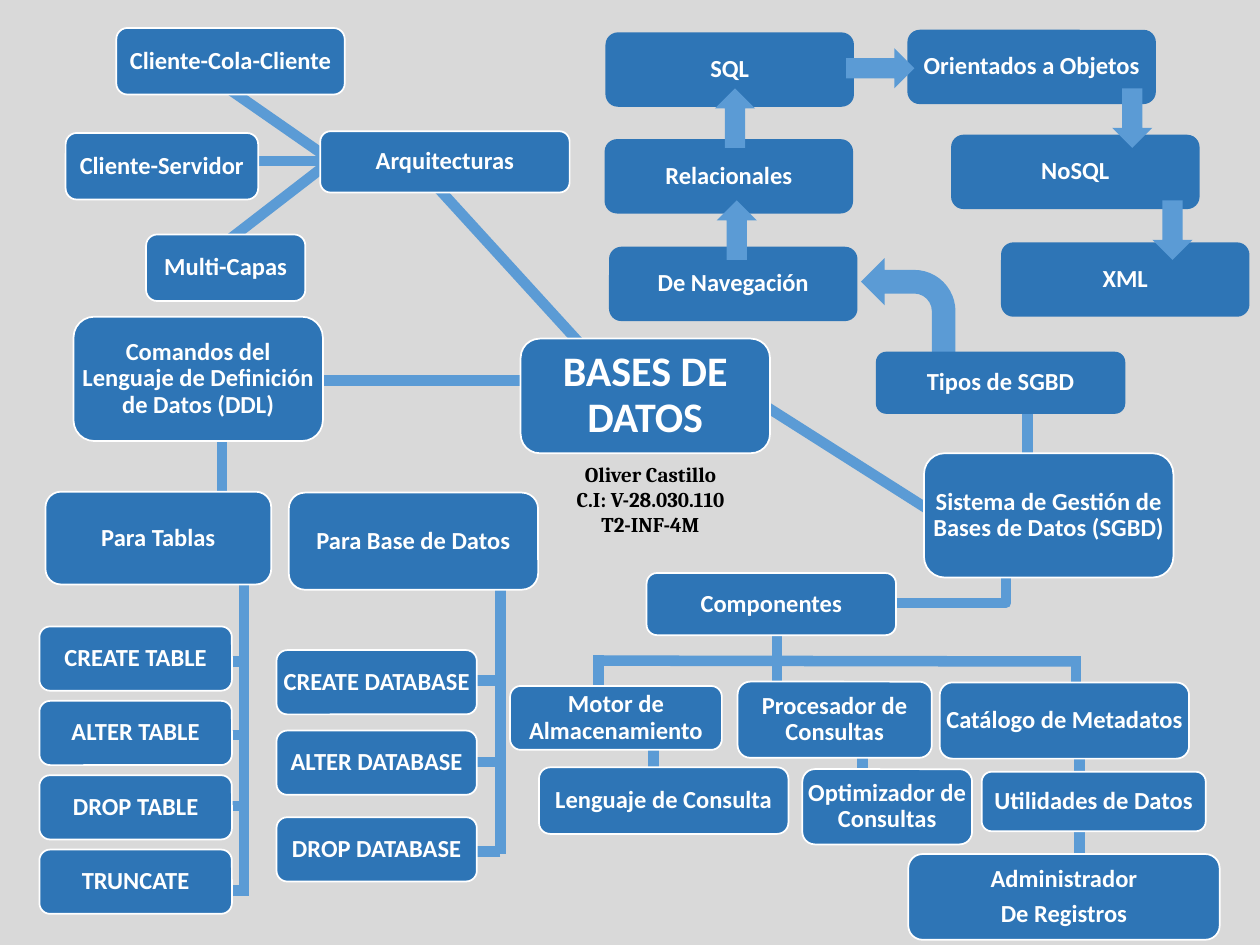
from lxml import etree
from pptx import Presentation
from pptx import util as u
from pptx.dml import color
from pptx.enum import shapes, text
from pptx.oxml import ns

Pt = u.Pt
BLUE, SKY, WHITE = "2E75B6", "5B9BD5", "FFFFFF"
WIDE = 142.5


def paint(target, value):
    target.fill.solid()
    target.fill.fore_color.rgb = color.RGBColor.from_string(value)


def write(frame, lines, font, size, value, spacing=None, after=None):
    frame.word_wrap = True
    for index, line in enumerate(lines):
        para = frame.paragraphs[0] if index == 0 else frame.add_paragraph()
        para.alignment = text.PP_ALIGN.CENTER
        para.line_spacing = spacing
        para.space_after = after
        span = para.add_run()
        span.text = line
        span.font.name, span.font.size, span.font.bold = font, Pt(size), True
        span.font.color.rgb = color.RGBColor.from_string(value)


def add_link(page, origin, start, end, kind=shapes.MSO_CONNECTOR.STRAIGHT):
    left, top = origin
    link = page.shapes.add_connector(
        kind, Pt(left + start[0]), Pt(top + start[1]),
        Pt(left + end[0]), Pt(top + end[1]))
    paint(link.line, SKY)
    link.line.width = Pt(6)
    etree.SubElement(link._element.spPr, ns.qn("a:effectLst"))


def add_figure(page, origin, kind, frame, fill):
    x, y, width, height = frame
    figure = page.shapes.add_shape(
        kind, Pt(origin[0] + x), Pt(origin[1] + y), Pt(width), Pt(height))
    figure.shadow.inherit = False
    paint(figure, fill)
    figure.line.fill.background()
    return figure


def add_node(page, origin, label, x, y, width, height, border=True, size=14):
    node = add_figure(page, origin, shapes.MSO_SHAPE.ROUNDED_RECTANGLE,
                      (x, y, width, height), BLUE)
    if border:
        paint(node.line, WHITE)
        node.line.width = Pt(1)
    frame = node.text_frame
    frame.margin_left = frame.margin_right = Pt(0.8)
    frame.margin_top = frame.margin_bottom = Pt(0.8)
    frame.vertical_anchor = text.MSO_ANCHOR.MIDDLE
    write(frame, label.split("\n"), "Calibri", size, WHITE, 0.9, Pt(size * 0.35))


def add_hub_links(page, origin):
    for start, end in [((34.5, 3.5), (-48.5, -87.5)),
                       ((22.5, 24), (-139.5, 24)),
                       ((133.5, 34.5), (248.5, 107.5))]:
        add_link(page, origin, start, end)


def add_hub(page, origin):
    add_node(page, origin, "BASES DE DATOS", 0, 0, WIDE, 65.5, size=24)
    left, top = origin
    box = page.shapes.add_textbox(Pt(left + 14.5), Pt(top + 66.5), Pt(119.5), Pt(51))
    write(box.text_frame, ["Oliver Castillo", "C.I: V-28.030.110", "T2-INF-4M"],
          "Cambria", 12, "000000")


def add_architectures(page, origin):
    for start, end in [((147, 80), (90, 124)), ((153, 76), (94, 35)),
                       ((153, 76), (90, 76))]:
        add_link(page, origin, start, end)
    for node in [("Arquitecturas", 146, 59, WIDE, 35),
                 ("Cliente-Servidor", 0.5, 60, 110, 38),
                 ("Multi-Capas", 46.5, 118, 91, 38),
                 ("Cliente-Cola-Cliente", 29.5, 0, 130.5, 38)]:
        add_node(page, origin, *node)


def add_commands(page, origin, head, trunk, width, items):
    x, top, bottom = trunk
    for _, _, branch in items:
        add_link(page, origin, (x, branch), (x - 35, branch))
    add_link(page, origin, (x, top), (x, bottom))
    add_node(page, origin, *head)
    for label, y, _ in items:
        add_node(page, origin, label, 0, y, width, 36.75)


def add_definition_language(page, origin):
    left, top = origin
    add_link(page, origin, (105, 63), (105, 103))
    add_node(page, origin, "Comandos del Lenguaje de Definición de Datos (DDL)",
             20, 0, WIDE, 71)
    tables = ["CREATE TABLE", "ALTER TABLE", "DROP TABLE", "TRUNCATE"]
    branches = [97, 139, 179.5, 228]
    add_commands(page, (left + 0.5, top + 100), ("Para Tablas", 3.5, 0, 129, 53),
                 (117, 44, 231), 110,
                 [(label, 77 + 42.5 * row, branches[row])
                  for row, label in enumerate(tables)])
    add_commands(page, (left + 136, top + 100),
                 ("Para Base de Datos", 7, 0.5, WIDE, 55.5),
                 (128, 48, 207), 114.5,
                 [("CREATE DATABASE", 90.5, 108), ("ALTER DATABASE", 136.5, 154.5),
                  ("DROP DATABASE", 186, 205.5)])


def add_system_types(page, origin):
    add_link(page, origin, (241, 200.5), (241, 253))
    curve = add_figure(page, origin, shapes.MSO_SHAPE.BENT_ARROW,
                       (146, 130.5, 54, 62), SKY)
    curve._element.spPr.xfrm.set("flipH", "1")
    add_node(page, origin, "Tipos de SGBD", 154.5, 184, WIDE, 35.5, border=False)
    for label, x, y in [("De Navegación", 2, 124), ("Relacionales", -0.5, 62.5),
                        ("SQL", 0, 1.5), ("Orientados a Objetos", 172.5, 0),
                        ("NoSQL", 197.5, 60), ("XML", 226, 121.5)]:
        add_node(page, origin, label, x, y, 142, 42.5, border=False)
    for x, y, height, turn in [(63.5, 97.5, 34, 0), (62.5, 33.5, 34, 0),
                               (145.5, 2.5, 39, 90), (289.5, 33.5, 34, 180),
                               (312.5, 97.5, 34, 180)]:
        arrow = add_figure(page, origin, shapes.MSO_SHAPE.UP_ARROW,
                           (x, y, 23, height), SKY)
        arrow.rotation = turn


def add_components(page, origin):
    for x, top, bottom in [(326, 208, 237), (326, 161.5, 190.5), (202, 161.5, 190.5),
                           (82.5, 161.5, 190.5), (324, 116, 145.5),
                           (51, 115.5, 144), (153, 99.5, 142)]:
        add_link(page, origin, (x, top), (x, bottom))
    add_link(page, origin, (51, 118.5), (324, 119))
    add_link(page, origin, (375, 55), (193, 85.5), shapes.MSO_CONNECTOR.ELBOW)
    for node in [("Sistema de Gestión de Bases de Datos (SGBD)", 237, 0, WIDE, 71),
                 ("Componentes", 78.5, 68.5, WIDE, 35.5),
                 ("Motor de Almacenamiento", 0.5, 133, 121, 36.5),
                 ("Lenguaje de Consulta", 17, 179.5, WIDE, 38),
                 ("Procesador de Consultas", 130.5, 130.5, 111, 43.5),
                 ("Optimizador de Consultas", 167.5, 180.5, 97, 43),
                 ("Catálogo de Metadatos", 246, 131, WIDE, 43.5),
                 ("Administrador\nDe Registros", 228, 229, 178, 49),
                 ("Utilidades de Datos", 270, 182, 128, 34)]:
        add_node(page, origin, *node)


def main():
    deck = Presentation()
    deck.slide_width, deck.slide_height = Pt(720), Pt(540)
    page = deck.slides.add_slide(deck.slide_layouts[6])
    paint(page.background, "D9D9D9")
    hub = (297.5, 193.5)
    add_hub_links(page, hub)
    add_hub(page, hub)
    add_architectures(page, (37, 16))
    add_definition_language(page, (22, 181))
    add_system_types(page, (346, 17))
    add_components(page, (291, 259))
    deck.save("out.pptx")


if __name__ == "__main__":
    main()
